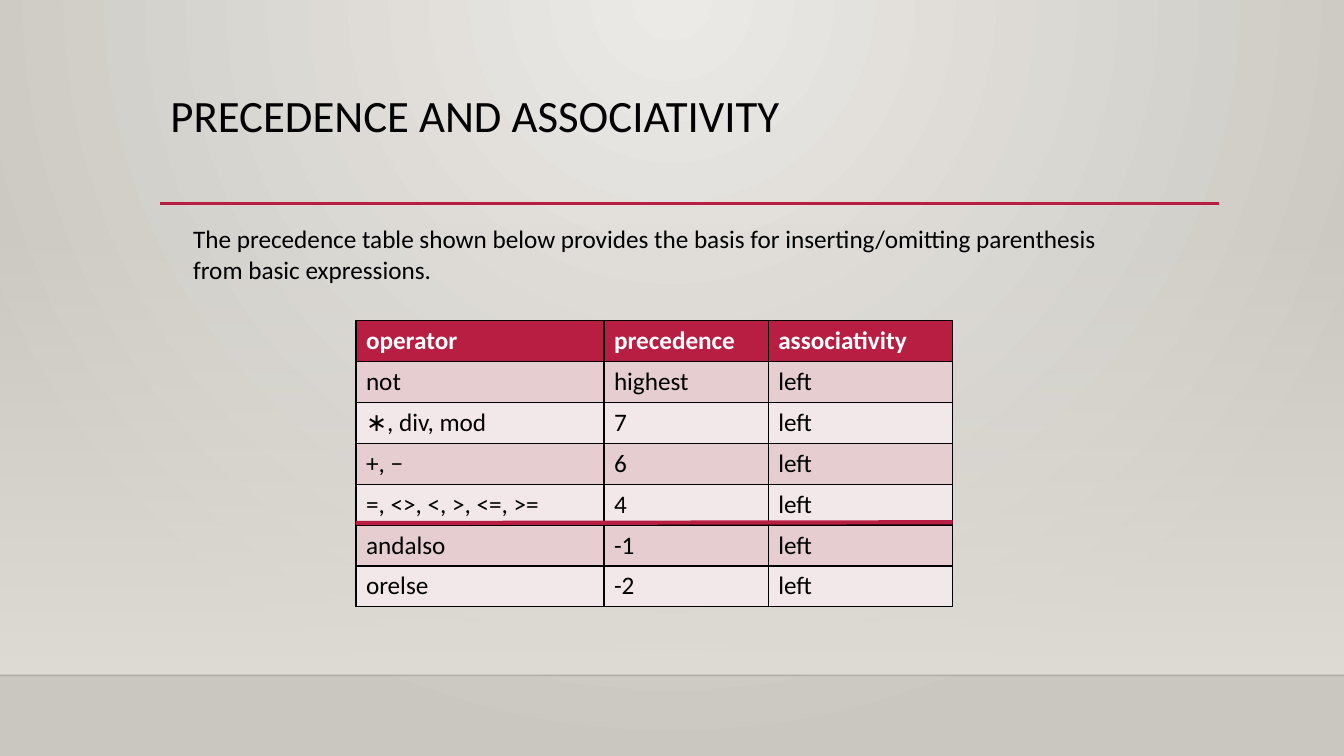
"""Build a slide on operator precedence and associativity."""
from dataclasses import dataclass

from lxml import etree
from pptx import Presentation
from pptx.dml.color import RGBColor
from pptx.enum.shapes import MSO_CONNECTOR, MSO_SHAPE
from pptx.enum.text import MSO_ANCHOR, PP_ALIGN
from pptx.oxml import parse_xml
from pptx.oxml.ns import nsdecls, qn
from pptx.util import Cm, Pt

STRAIGHT = MSO_CONNECTOR.STRAIGHT
RECTANGLE = MSO_SHAPE.RECTANGLE
TOP = MSO_ANCHOR.TOP
LEFT = PP_ALIGN.LEFT

FONT = "Calibri"
BLACK, WHITE, CRIMSON = "000000", "FFFFFF", "B71E42"
BANDS = ("F3E8E9", "E6CDCF")
WIDTH, HEIGHT = 33.87, 19.05
FLOOR = 17.02

COLUMNS = (6.25, 4.14, 4.65)
ROW_HEIGHT = 1.03
ROWS = (
    ("operator", "precedence", "associativity"),
    ("not", "highest", "left"),
    ("∗, div, mod", "7", "left"),
    ("+, −", "6", "left"),
    ("=, <>, <, >, <=, >=", "4", "left"),
    ("andalso", "-1", "left"),
    ("orelse", "-2", "left"),
)


@dataclass
class Rule:
    x1: float
    y1: float
    x2: float
    y2: float
    color: str
    width: float
    opacity: int = 100


@dataclass
class Stop:
    position: int
    color: str
    opacity: int = 100


FLOOR_LINE = Rule(0, FLOOR, WIDTH, FLOOR, "000001", 1, 20)
TITLE_LINE = Rule(4.04, 5.13, 30.73, 5.13, CRIMSON, 2.5)
TABLE_LINE = Rule(8.97, 13.18, 24.01, 13.16, CRIMSON, 3)


def rgb(color: str) -> RGBColor:
    return RGBColor.from_string(color)


def set_gradient(props, stops: tuple, direction: str) -> None:
    gs = "".join(
        f'<a:gs pos="{stop.position * 1000}"><a:srgbClr val="{stop.color}">'
        f'<a:alpha val="{stop.opacity * 1000}"/></a:srgbClr></a:gs>'
        for stop in stops)
    gradient = parse_xml(f'<a:gradFill {nsdecls("a")} rotWithShape="1">'
                         f'<a:gsLst>{gs}</a:gsLst>{direction}</a:gradFill>')
    props.replace(props.find(qn("a:solidFill")), gradient)


def add_background(s) -> None:
    s.background.fill.solid()
    set_gradient(s.element.find(f'.//{qn("p:bgPr")}'),
                 (Stop(0, "ECEAE7"), Stop(100, "CAC7C1")),
                 '<a:path path="circle"><a:fillToRect l="43000" t="0" '
                 'r="43000" b="100000"/></a:path>')


def add_wall(s) -> None:
    wall = s.shapes.add_shape(RECTANGLE, 0, Cm(5.61), Cm(WIDTH), Cm(FLOOR - 5.61))
    wall.shadow.inherit = False
    wall.line.fill.background()
    wall.fill.solid()
    set_gradient(wall.element.spPr, (Stop(0, "DFDBD5", 0), Stop(100, "DFDBD5")),
                 '<a:lin ang="5400000" scaled="0"/>')


def add_rule(s, rule: Rule) -> None:
    line = s.shapes.add_connector(
        STRAIGHT, Cm(rule.x1), Cm(rule.y1), Cm(rule.x2), Cm(rule.y2))
    line.line.color.rgb = rgb(rule.color)
    line.line.width = Pt(rule.width)
    spPr = line.element.spPr
    if rule.opacity < 100:
        color = spPr.find(f'.//{qn("a:srgbClr")}')
        etree.SubElement(color, qn("a:alpha"), val=str(rule.opacity * 1000))
    etree.SubElement(spPr, qn("a:effectLst"))


def set_text(tf, text: str, size: int, color: str = BLACK, bold: bool = False) -> None:
    tf.text = text
    p = tf.paragraphs[0]
    p.alignment = LEFT
    font = p.runs[0].font
    font.name, font.size, font.bold = FONT, Pt(size), bold
    font.color.rgb = rgb(color)


def add_title(s) -> None:
    title = s.shapes.title
    title.left, title.top, title.width, title.height = (
        Cm(4.04), Cm(2.24), Cm(26.67), Cm(2.92))
    tf = title.text_frame
    tf.vertical_anchor = TOP
    set_text(tf, "PRECEDENCE AND ASSOCIATIVITY", 32)
    tf.paragraphs[0].line_spacing = 0.9


def add_intro(s) -> None:
    tf = s.shapes.add_textbox(Cm(4.62), Cm(5.51), Cm(23.72), Cm(1.8)).text_frame
    tf.word_wrap = True
    set_text(tf, "The precedence table shown below provides the basis for "
                 "inserting/omitting parenthesis from basic expressions.", 18)


def set_borders(cell) -> None:
    tcPr = cell._tc.get_or_add_tcPr()
    for i, side in enumerate(("lnL", "lnR", "lnT", "lnB")):
        tcPr.insert(i, parse_xml(
            f'<a:{side} {nsdecls("a")} w="12700"><a:solidFill>'
            f'<a:srgbClr val="{BLACK}"/></a:solidFill></a:{side}>'))


def add_precedence_table(s) -> None:
    table = s.shapes.add_table(
        len(ROWS), len(COLUMNS), Cm(8.97), Cm(8.08),
        Cm(sum(COLUMNS)), Cm(ROW_HEIGHT * len(ROWS))).table
    for column, width in zip(table.columns, COLUMNS):
        column.width = Cm(width)
    for i, row in enumerate(ROWS):
        table.rows[i].height = Cm(ROW_HEIGHT)
        header = i == 0
        for j, text in enumerate(row):
            cell = table.cell(i, j)
            cell.fill.solid()
            cell.fill.fore_color.rgb = rgb(CRIMSON if header else BANDS[i % 2])
            set_borders(cell)
            set_text(cell.text_frame, text, 18, WHITE if header else BLACK, header)


def main() -> None:
    prs = Presentation()
    prs.slide_width, prs.slide_height = Cm(WIDTH), Cm(HEIGHT)
    s = prs.slides.add_slide(prs.slide_layouts[5])
    add_background(s)
    add_wall(s)
    add_rule(s, FLOOR_LINE)
    add_rule(s, TITLE_LINE)
    add_title(s)
    add_precedence_table(s)
    add_rule(s, TABLE_LINE)
    add_intro(s)
    prs.save("out.pptx")


if __name__ == "__main__":
    main()
